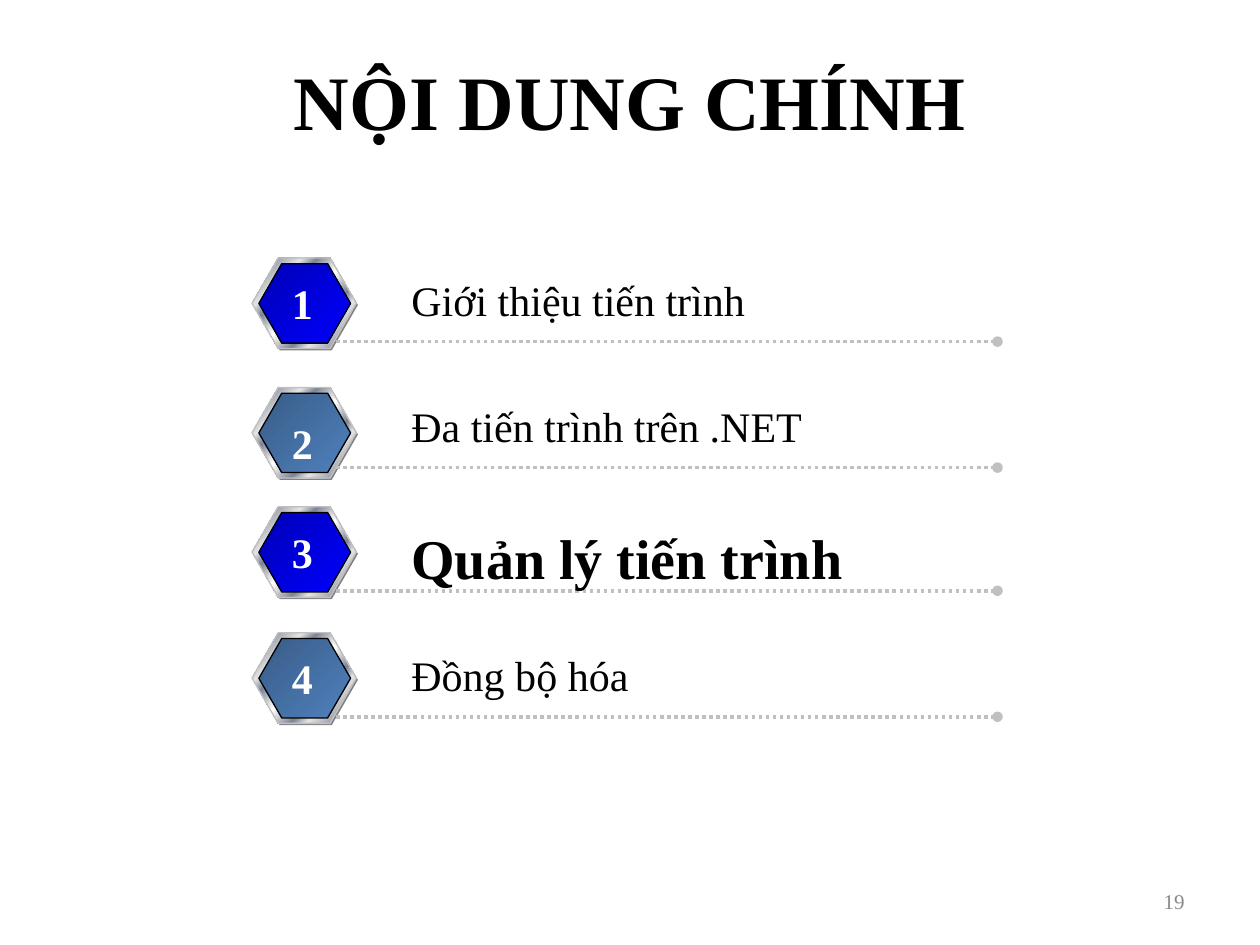
from dataclasses import dataclass

from lxml.etree import SubElement
from pptx import Presentation
from pptx.dml.color import RGBColor
from pptx.enum.dml import MSO_LINE
from pptx.enum.shapes import MSO_CONNECTOR, MSO_SHAPE
from pptx.enum.text import MSO_ANCHOR, MSO_AUTO_SIZE, PP_ALIGN
from pptx.oxml.ns import qn
from pptx.util import Pt


@dataclass(frozen=True)
class Theme:
    font: str = "Times New Roman"
    ink: str = "000000"
    white: str = "FFFFFF"
    gray: str = "898989"
    shade: str = "808080"
    rule: str = "C0C0C0"
    blue: tuple = ((0, "0000B6"), (100, "0000FF"))
    steel: tuple = ((0, "395C87"), (100, "4F81BD"))
    chrome: tuple = (
        (0, "E6E6E6"), (8, "7D8496"), (26, "E6E6E6"), (34, "7D8496"),
        (46, "E6E6E6"), (50, "FFFFFF"), (54, "E6E6E6"), (66, "7D8496"),
        (74, "E6E6E6"), (92, "7D8496"), (100, "E6E6E6"),
    )
    head: int = 44
    big: int = 32
    body: int = 24
    small: int = 12


class Deck:
    def __init__(self, theme):
        self.theme = theme
        self.show = Presentation()
        self.show.slide_width, self.show.slide_height = Pt(720), Pt(540)
        self.slide = self.show.slides.add_slide(self.show.slide_layouts[5])

    def label(self, shape, text, size, color, bold=False, align=PP_ALIGN.LEFT):
        para = shape.text_frame.paragraphs[0]
        para.text = text
        para.alignment = align
        font = para.font
        font.name, font.size, font.bold = self.theme.font, Pt(size), bold
        font.color.rgb = RGBColor.from_string(color)

    def title(self, text, box):
        shape = self.slide.shapes.title
        shape.left, shape.top, shape.width, shape.height = map(Pt, box)
        shape.text_frame.vertical_anchor = MSO_ANCHOR.MIDDLE
        self.label(shape, text, self.theme.head, self.theme.ink, True, PP_ALIGN.CENTER)

    def text(self, text, box, size, color, bold=False, align=PP_ALIGN.LEFT):
        shape = self.slide.shapes.add_textbox(*map(Pt, box))
        shape.text_frame.word_wrap = False
        shape.text_frame.auto_size = MSO_AUTO_SIZE.SHAPE_TO_FIT_TEXT
        self.label(shape, text, size, color, bold, align)

    def number(self, text, box):
        shape = self.slide.shapes.add_textbox(*map(Pt, box))
        shape.text_frame.word_wrap = True
        shape.text_frame.vertical_anchor = MSO_ANCHOR.MIDDLE
        self.label(shape, text, self.theme.small, self.theme.gray, align=PP_ALIGN.RIGHT)

    def blend(self, shape, stops):
        shape.fill.gradient()
        shape.fill.gradient_angle = 315
        node = shape._element.spPr.find(qn("a:gradFill")).find(qn("a:gsLst"))
        for old in list(node):
            node.remove(old)
        for place, color in stops:
            stop = SubElement(node, qn("a:gs"), pos=str(place * 1000))
            SubElement(stop, qn("a:srgbClr"), val=color)

    def hexagon(self, group, box, fill, edge=None):
        shape = group.shapes.add_shape(MSO_SHAPE.HEXAGON, *map(Pt, box))
        shape.adjustments[0] = 0.289
        shape.shadow.inherit = False
        if isinstance(fill, str):
            shape.fill.solid()
            shape.fill.fore_color.rgb = RGBColor.from_string(fill)
        else:
            self.blend(shape, fill)
        if edge:
            shape.line.color.rgb = RGBColor.from_string(edge)
            shape.line.width = Pt(0.75)
        else:
            shape.line.fill.background()

    def badge(self, left, top, fill):
        group = self.slide.shapes.add_group_shape()
        theme = self.theme
        self.hexagon(group, (left + 0.9, top + 1, 59.6, 51.8), theme.shade)
        self.hexagon(group, (left, top, 59.6, 51.8), theme.chrome, theme.rule)
        self.hexagon(group, (left + 3.9, top + 3.3, 52.4, 45.4), fill, theme.ink)

    def line(self, left, right, y):
        line = self.slide.shapes.add_connector(
            MSO_CONNECTOR.STRAIGHT, Pt(left), Pt(y), Pt(right), Pt(y))
        line.line.color.rgb = RGBColor.from_string(self.theme.rule)
        line.line.width = Pt(2)
        line.line.dash_style = MSO_LINE.ROUND_DOT
        props = line._element.spPr
        SubElement(props.find(qn("a:ln")), qn("a:tailEnd"), type="oval")
        SubElement(props, qn("a:effectLst"))

    def save(self):
        self.show.save("out.pptx")


def main():
    theme = Theme()
    deck = Deck(theme)
    deck.title("NỘI DUNG CHÍNH", (36, 12, 648, 90))
    deck.number("19", (516, 500.5, 168, 28.8))
    rows = (
        ("Giới thiệu tiến trình", 207, 147.4, 195.2, 155, False),
        ("Đa tiến trình trên .NET", 240, 221.4, 267.2, 235, False),
        ("Quản lý tiến trình", 263, 289.6, 337.6, 297.4, True),
        ("Đồng bộ hóa", 140, 361.6, 409.6, 369.4, False),
    )
    for index, (label, width, top, rule, digit, bold) in enumerate(rows):
        deck.badge(144, top, (theme.blue, theme.steel)[index % 2])
        deck.line(192, 570, rule)
        size = theme.big if bold else theme.body
        deck.text(label, (228, rule - 41.8, width, size * 1.2 + 7.2),
                  size, theme.ink, bold)
        deck.text(str(index + 1), (159.6, digit, 26.4, 36.4),
                  theme.body, theme.white, True, PP_ALIGN.CENTER)
    deck.save()


if __name__ == "__main__":
    main()
